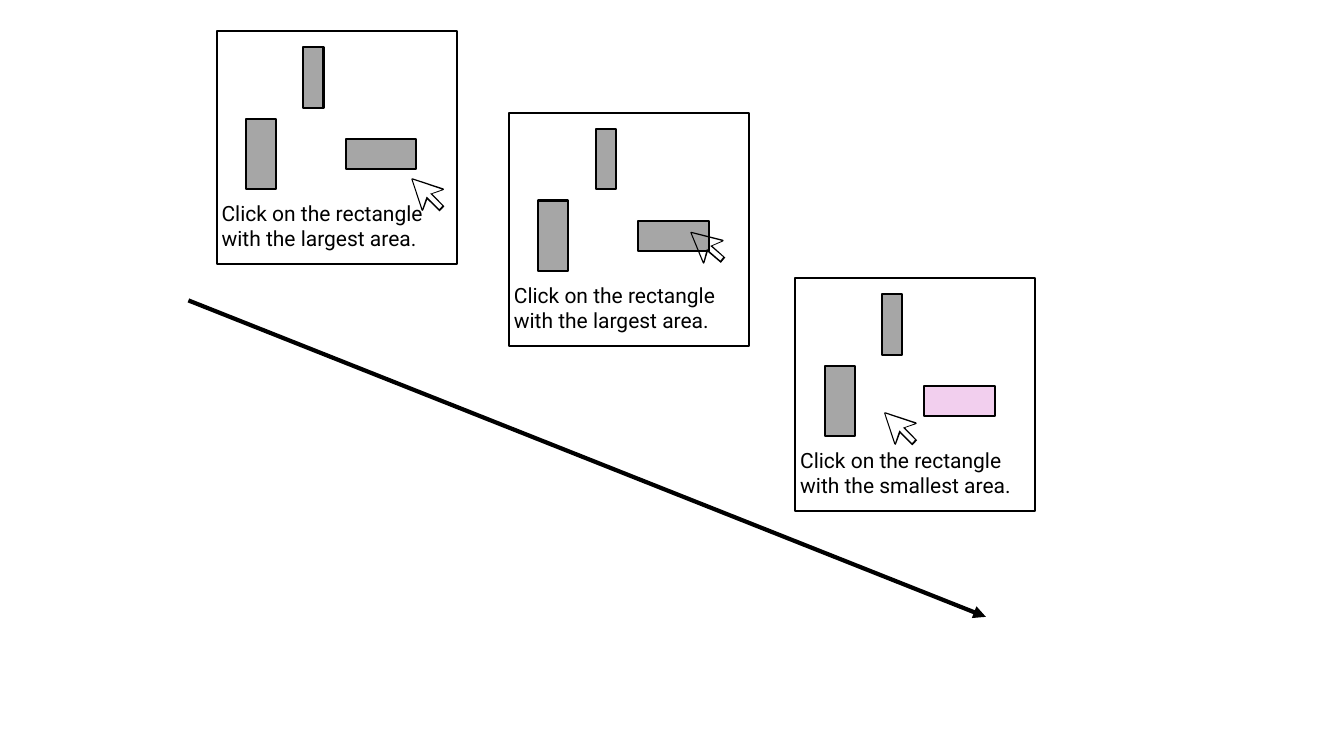
from dataclasses import dataclass

from lxml import etree
from pptx import Presentation
from pptx.dml.color import RGBColor
from pptx.enum import shapes, text
from pptx.oxml import ns
from pptx.util import Pt

# Content: panel corner, prompt, colour of the wide bar, cursor offset and tilt
PANELS = [
    ((154.8, 22.3), "Click on the rectangle with the largest area.", "grey", (139, 105.1), 0),
    ((363.6, 80.6), "Click on the rectangle with the largest area.", "grey", (130.3, 84.2), -4.1),
    ((568.1, 198.7), "Click on the rectangle with the smallest area.", "pink", (63.4, 95.8), 0),
]

# Offsets inside a panel: left, top, width, height
FRAME = (0, 0, 171.4, 166.3)
TALL_BAR = (20.9, 62.6, 21.6, 50.4)
NARROW_BAR = (61.9, 11.5, 14.4, 43.2)
WIDE_BAR = (92.2, 77, 50.4, 21.6)
PROMPT = (-3.6, 117.4, 175, 43.9)
TIME_ARROW = (134.6, 214.6, 704.2, 440.6)

# Cursor outline: outer edge and the hole inside it
CURSOR_OUTER = [(0.5, 0), (0, 0.5), (7.3, 22.7), (8, 23.3), (8.6, 22.6), (11.4, 15),
                (20.2, 23.6), (23.6, 20), (15, 11.1), (22.9, 8.4), (23.3, 7.8),
                (22.9, 7.2), (1.2, 0.1)]
CURSOR_HOLE = [(0.9, 0.9), (22.1, 8), (15.1, 10.5), (13.5, 11), (14.5, 11.9),
               (22.2, 19.6), (20, 22), (12.2, 14.2), (11, 13), (10.5, 14.2), (7.9, 21.9)]


@dataclass(frozen=True)
class Theme:
    black: RGBColor = RGBColor(0, 0, 0)
    grey: RGBColor = RGBColor(0xA6, 0xA6, 0xA6)
    pink: RGBColor = RGBColor(0xF2, 0xCF, 0xEE)
    font: str = "Roboto"
    size: float = 15
    outline: float = 1.5
    arrow: float = 3


theme = Theme()


def place(corner, part):
    left, top, width, height = part
    return [Pt(v) for v in (corner[0] + left, corner[1] + top, width, height)]


def add_box(group, corner, part, fill=None):
    box = group.shapes.add_shape(shapes.MSO_SHAPE.RECTANGLE, *place(corner, part))
    box.shadow.inherit = False
    if fill is None:
        box.fill.background()
    else:
        box.fill.solid()
        box.fill.fore_color.rgb = fill
    box.line.color.rgb = theme.black
    box.line.width = Pt(theme.outline)


def add_prompt(group, corner, words):
    frame = group.shapes.add_textbox(*place(corner, PROMPT)).text_frame
    frame.word_wrap = True
    frame.auto_size = text.MSO_AUTO_SIZE.SHAPE_TO_FIT_TEXT
    para = frame.paragraphs[0]
    para.text = words
    para.font.name = theme.font
    para.font.size = Pt(theme.size)
    para.font.color.rgb = theme.black


def add_cursor(group, corner, offset, tilt):
    # Drawing units are tenths of a point
    outer, hole = ([(round(x * 10), round(y * 10)) for x, y in points]
                   for points in (CURSOR_OUTER, CURSOR_HOLE))
    builder = group.shapes.build_freeform(*outer[0], scale=Pt(1) / 10)
    builder.add_line_segments(outer[1:], close=True)
    builder.move_to(*hole[0])
    builder.add_line_segments(hole[1:], close=True)
    cursor = builder.convert_to_shape(Pt(corner[0] + offset[0]), Pt(corner[1] + offset[1]))
    cursor.shadow.inherit = False
    cursor.fill.solid()
    cursor.fill.fore_color.rgb = theme.black
    cursor.line.fill.background()
    cursor.rotation = tilt


def add_time_arrow(page):
    arrow = page.shapes.add_connector(shapes.MSO_CONNECTOR.STRAIGHT,
                                      *[Pt(v) for v in TIME_ARROW])
    arrow.line.color.rgb = theme.black
    arrow.line.width = Pt(theme.arrow)
    head = etree.SubElement(arrow.line._get_or_add_ln(), ns.qn("a:tailEnd"))
    head.set("type", "triangle")
    etree.SubElement(arrow._element.spPr, ns.qn("a:effectLst"))


def main():
    deck = Presentation()
    deck.slide_width, deck.slide_height = Pt(960), Pt(540)
    page = deck.slides.add_slide(deck.slide_layouts[6])

    # Trial panels
    for corner, words, wide_colour, offset, tilt in PANELS:
        group = page.shapes.add_group_shape()
        add_box(group, corner, FRAME)
        add_box(group, corner, TALL_BAR, theme.grey)
        add_prompt(group, corner, words)
        add_box(group, corner, NARROW_BAR, theme.grey)
        add_box(group, corner, WIDE_BAR, getattr(theme, wide_colour))
        add_cursor(group, corner, offset, tilt)

    # Time arrow
    add_time_arrow(page)
    deck.save("out.pptx")


if __name__ == "__main__":
    main()
